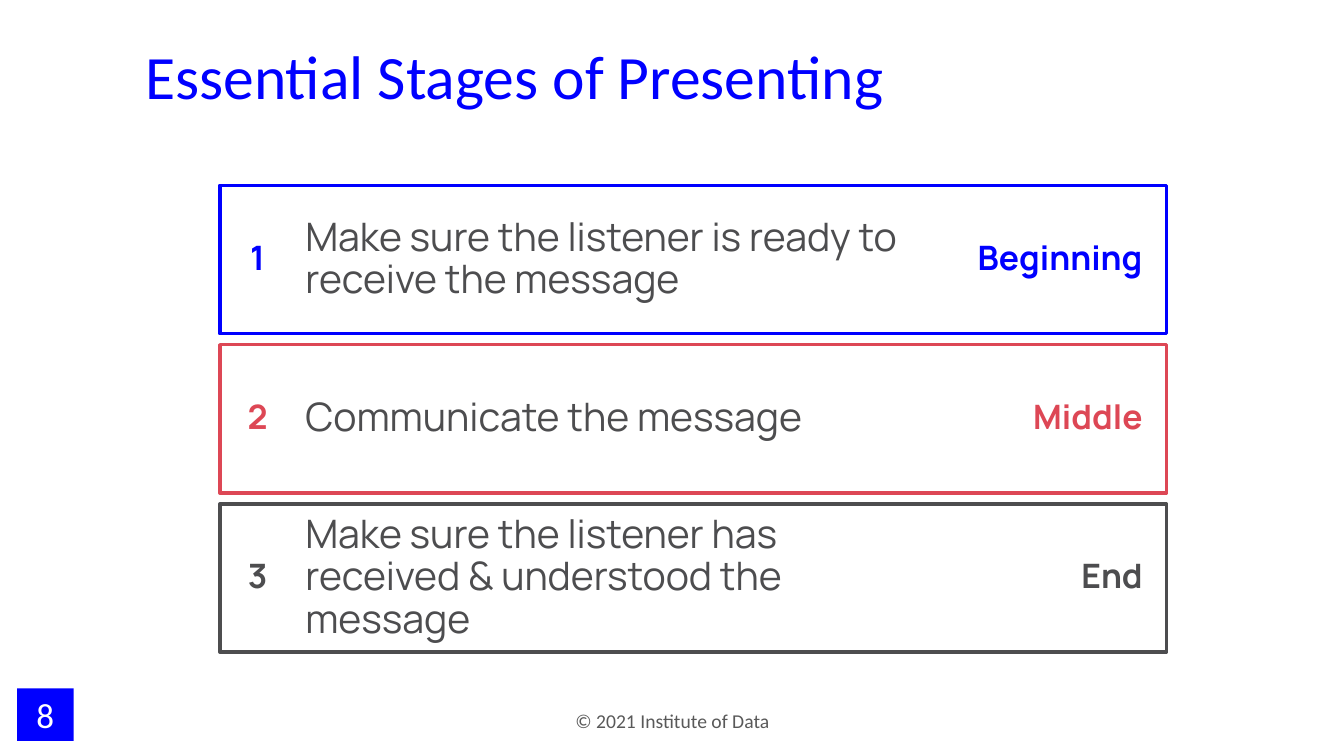
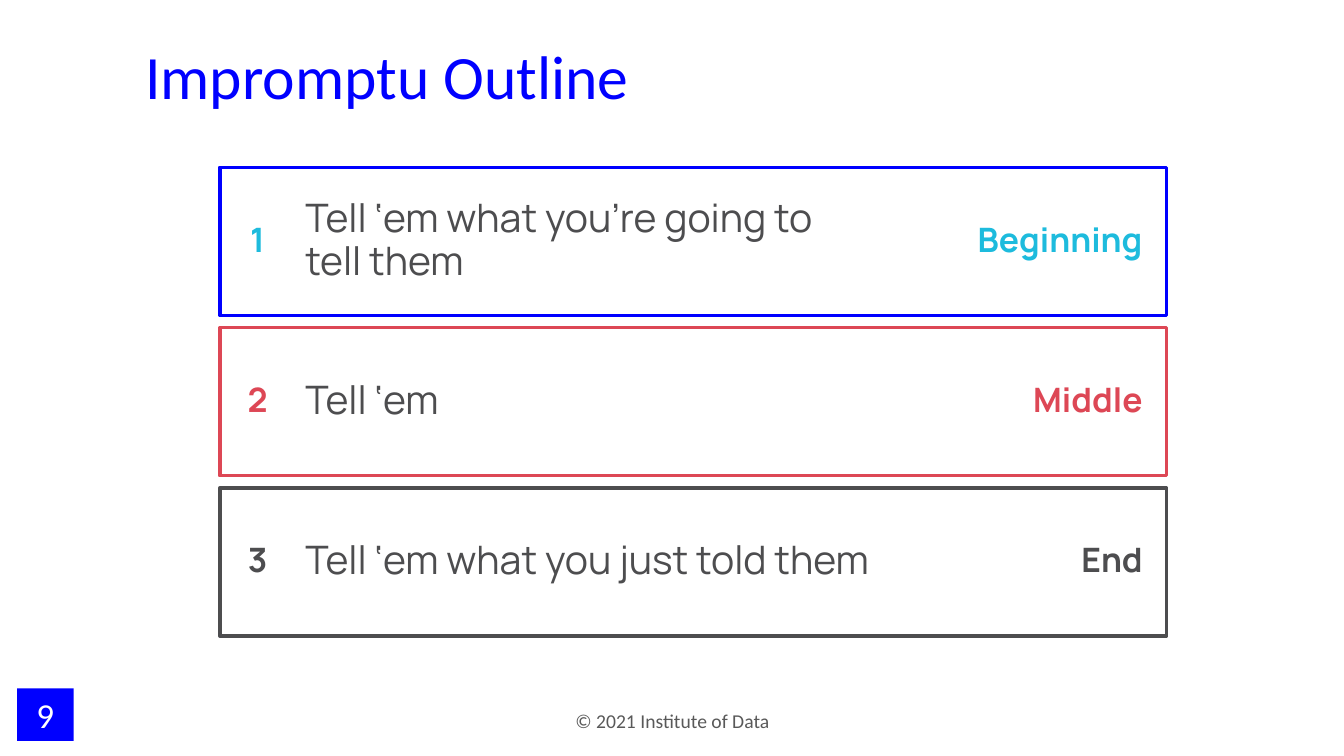
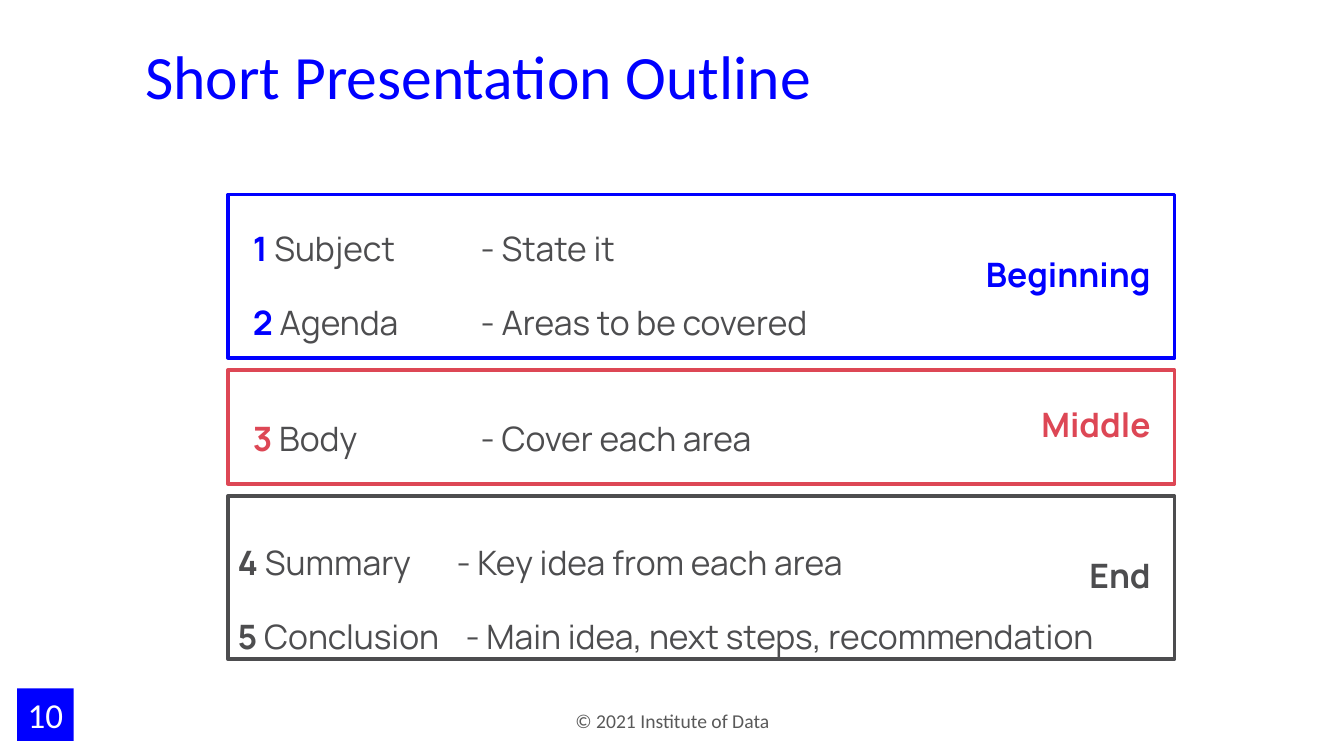
"""Build three slides on the stages of a presentation."""
import pptx
import pptx.dml.color
import pptx.enum.shapes
import pptx.enum.text
import pptx.oxml
import pptx.oxml.ns
import pptx.util
from pptx.util import Inches

COLORS = {"blue": "0000FF", "red": "DD4755", "grey": "4D4D4F", "cyan": "1DBBDD",
          "footer": "595959", "white": "FFFFFF"}
ALIGN = pptx.enum.text.PP_ALIGN
ANCHOR = pptx.enum.text.MSO_ANCHOR
RECT = pptx.enum.shapes.MSO_SHAPE.RECTANGLE

TITLE = {"name": "Calibri", "size": 44, "color": "blue"}
FOOTER = {"name": "Calibri", "size": 14, "color": "footer"}
PAGE = {"name": "Calibri", "size": 25, "color": "white"}
BODY = {"name": "Manrope", "size": 28, "color": "grey"}
ITEM = {**BODY, "size": 24}
LABEL = {**ITEM, "bold": True}

prs = pptx.Presentation()
prs.slide_width, prs.slide_height = Inches(13.33), Inches(7.5)


def add_text(s, box, paragraphs, align=ALIGN.LEFT, anchor=ANCHOR.MIDDLE, spacing=0.9,
             inset=0.1, tabs=()):
    """Add a text box; each paragraph is a list of (text, format) runs."""
    tf = s.shapes.add_textbox(*map(Inches, box)).text_frame
    frame = {"word_wrap": True, "vertical_anchor": anchor,
             "margin_left": Inches(inset), "margin_right": Inches(inset),
             "margin_top": Inches(0.05), "margin_bottom": Inches(0.05)}
    for name, value in frame.items():
        setattr(tf, name, value)
    for i, runs in enumerate(paragraphs):
        p = tf.add_paragraph() if i else tf.paragraphs[0]
        if tabs:
            p._p.get_or_add_pPr().append(pptx.oxml.parse_xml(
                f'<a:tabLst {pptx.oxml.ns.nsdecls("a")}>'
                f'<a:tab pos="{Inches(tabs[i])}" algn="l"/></a:tabLst>'))
        p.alignment, p.line_spacing = align, spacing
        if i:
            p.space_before = pptx.util.Pt(10)
        for text, fmt in runs:
            r = p.add_run()
            r.text = text
            for name, value in fmt.items():
                if name == "color":
                    r.font.color.rgb = pptx.dml.color.RGBColor.from_string(COLORS[value])
                else:
                    setattr(r.font, name, pptx.util.Pt(value) if name == "size" else value)


def add_rect(s, box, fill=None, line=None):
    """Add a plain rectangle, filled or outlined."""
    sp = s.shapes.add_shape(RECT, *map(Inches, box))
    sp.shadow.inherit = False
    for part, color in ((sp.fill, fill), (sp.line.fill, line)):
        if color:
            part.solid()
            part.fore_color.rgb = pptx.dml.color.RGBColor.from_string(COLORS[color])
        else:
            part.background()
    if line:
        sp.line.width = pptx.util.Pt(2.5)


STAGES = [("Beginning", "blue"), ("Middle", "red"), ("End", "grey")]
NARROW, WIDE = 5.59, 6.48
slides = [
    {"title": "Essential Stages of Presenting", "left": 2.18, "top": 1.84, "gap": 0.11,
     "heights": [1.47] * 3, "first": "blue",
     "steps": [("Make sure the listener is ready to receive the message", WIDE),
               ("Communicate the message", WIDE),
               ("Make sure the listener has received & understood the message", WIDE)]},
    {"title": "Impromptu Outline", "left": 2.18, "top": 1.66, "gap": 0.12,
     "heights": [1.47] * 3, "first": "cyan",
     "steps": [("Tell ‘em what you’re going to tell them", NARROW),
               ("Tell ‘em", WIDE),
               ("Tell ‘em what you just told them", WIDE)]},
    {"title": "Short Presentation Outline", "left": 2.26, "top": 1.93, "gap": 0.12,
     "heights": [1.62, 1.13, 1.62], "first": "blue", "steps": []},
]

for number, spec_values in enumerate(slides, 8):
    s = prs.slides.add_slide(prs.slide_layouts[6])
    add_text(s, (4.42, 6.95, 4.5, 0.4), [[("© 2021 Institute of Data", FOOTER)]],
             align=ALIGN.CENTER, spacing=1.0)
    page_box = (0.17, 6.83, 0.56, 0.52)
    add_rect(s, page_box, fill="blue")
    add_text(s, page_box, [[(str(number), PAGE)]], align=ALIGN.CENTER, spacing=1.0, inset=0.05)
    add_text(s, (1.39, 0.41, 11.71, 1.11), [[(spec_values["title"], TITLE)]],
             anchor=ANCHOR.TOP, inset=0.05)

    left, top = spec_values["left"], spec_values["top"]
    for i, ((stage, color), height) in enumerate(zip(STAGES, spec_values["heights"])):
        add_rect(s, (left, top, 9.39, height), line=color)
        label = {**LABEL, "color": color if i else spec_values["first"]}
        add_text(s, (left + 7.28, top, 1.97, height), [[(stage, label)]], align=ALIGN.RIGHT)
        if spec_values["steps"]:
            step, width = spec_values["steps"][i]
            add_text(s, (left, top, 0.75, height), [[(str(i + 1), label)]], align=ALIGN.CENTER)
            add_text(s, (left + 0.75, top, width, height), [[(step, BODY)]])
        top += height + spec_values["gap"]

items = [
    ((2.41, 1.91, 6.51, 1.64), "blue", (2.26, 2.26),
     [("1 ", "Subject\t- State it"), ("2 ", "Agenda\t- Areas to be covered")]),
    ((2.41, 3.7, 6.51, 1.09), "red", (2.26,), [("3 ", "Body\t- Cover each area")]),
    ((2.26, 4.93, 9.53, 1.83), "grey", (2.17, 2.26),
     [("4 ", "Summary\t- Key idea from each area"),
      ("5 ", "Conclusion\t- Main idea, next steps, recommendation")]),
]
for box, color, tabs, lines in items:
    add_text(s, box, [[(num, {**LABEL, "color": color}), (text, ITEM)] for num, text in lines],
             spacing=1.5, tabs=tabs)

prs.save("out.pptx")
